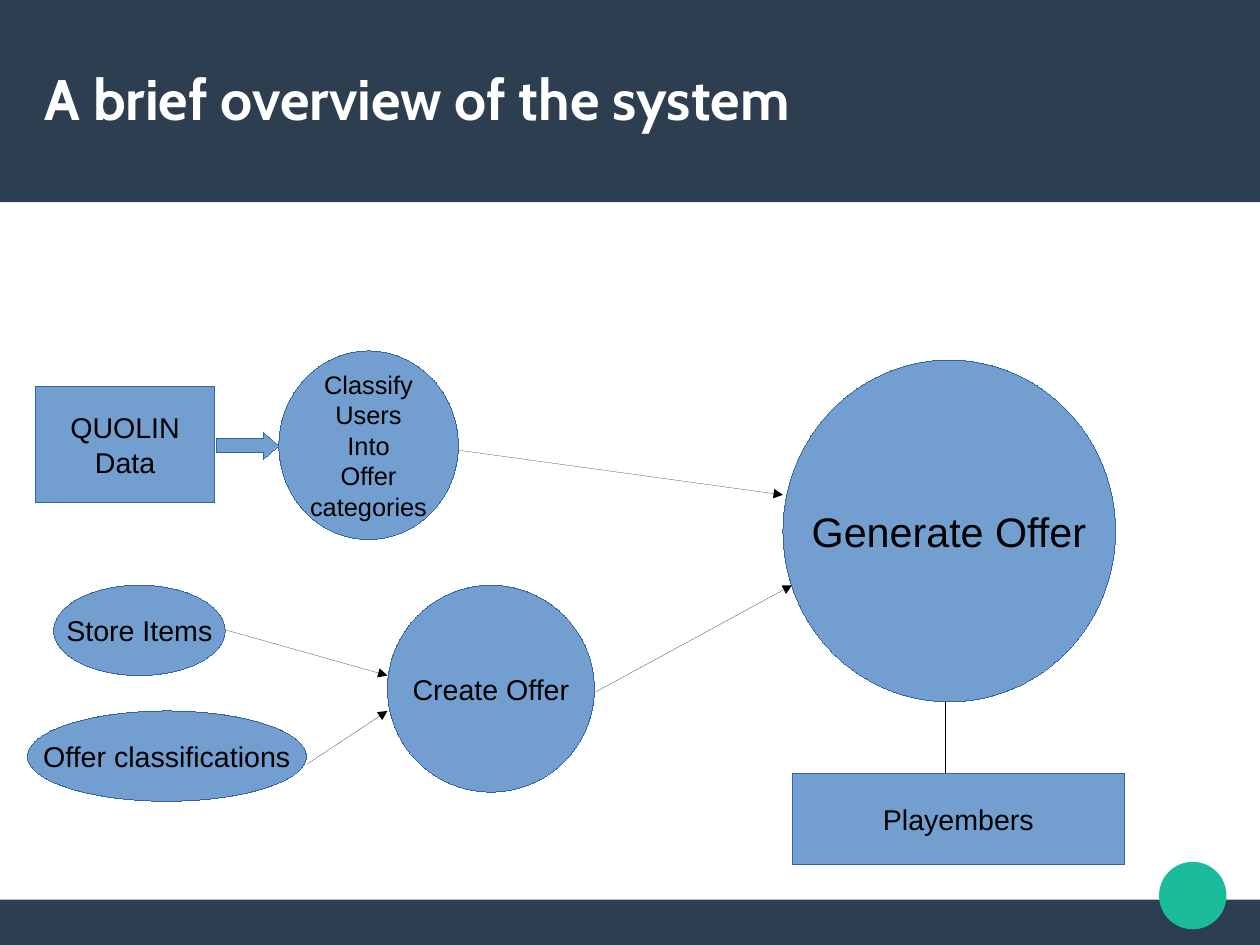
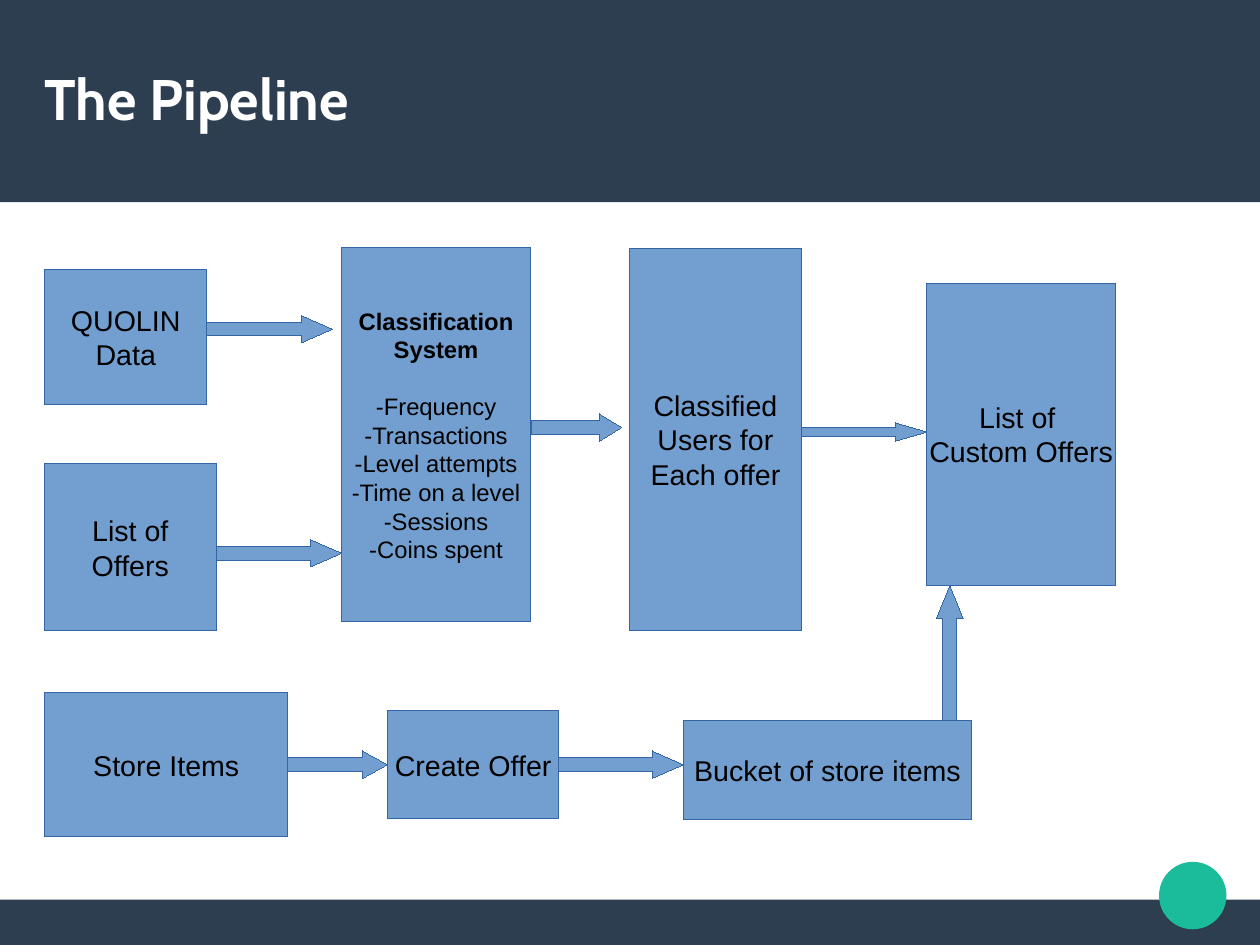
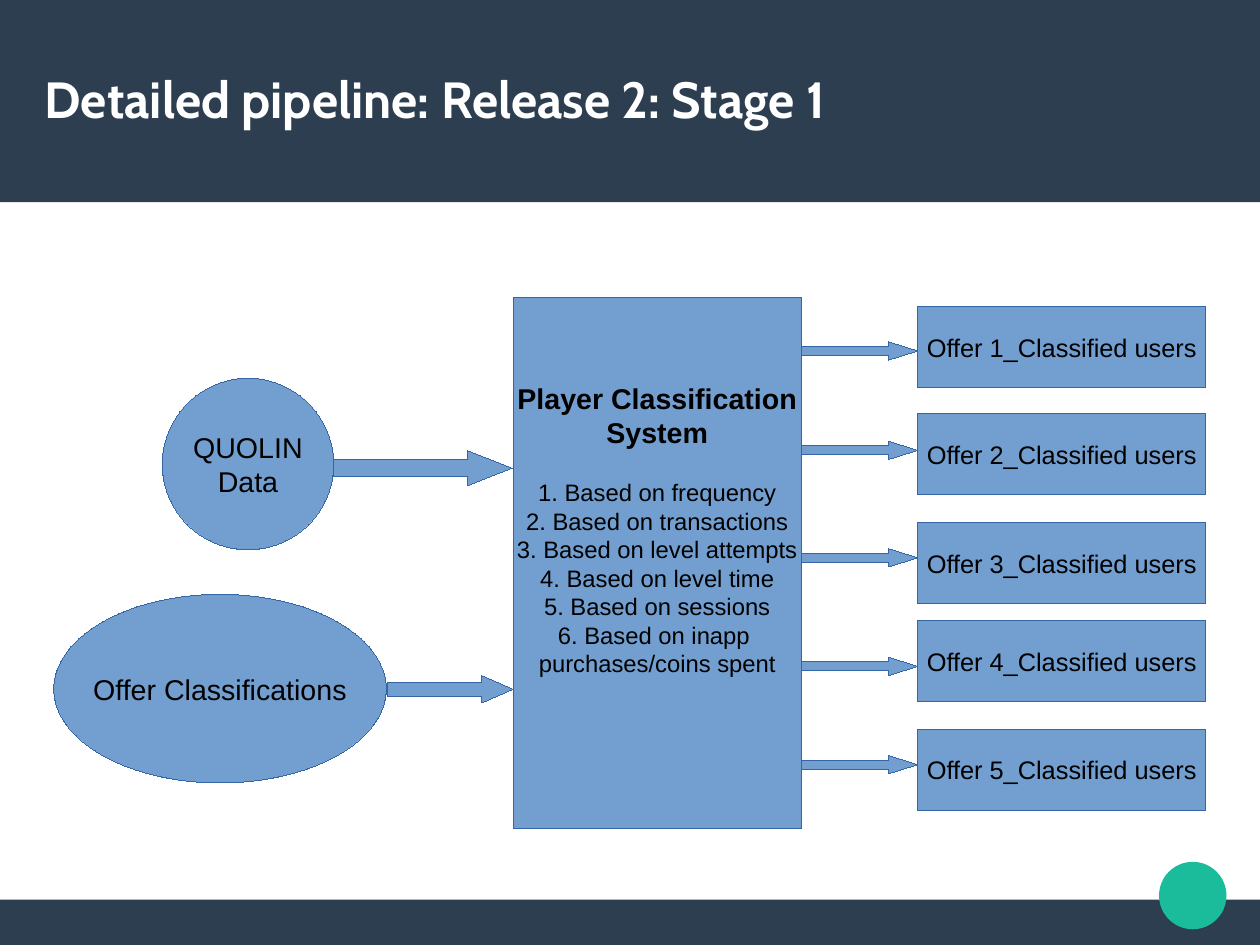
"""Build three slides that chart an offer system and its pipeline."""
from lxml import etree
from pptx import Presentation
from pptx import util as u
from pptx.dml.color import RGBColor
from pptx.enum import shapes, text
from pptx.oxml.ns import qn

WIDE, HIGH = 28 / 2.54, 21 / 2.54
NAVY, TEAL, BLUE, EDGE = "2C3E50", "1ABC9C", "729FCF", "3465A4"
BLACK, WHITE = "000000", "FFFFFF"
KIND = shapes.MSO_SHAPE
RECT, OVAL = KIND.FLOWCHART_PROCESS, KIND.FLOWCHART_CONNECTOR
RIGHT, UP = KIND.RIGHT_ARROW, KIND.UP_ARROW
LEFT, MID = text.PP_ALIGN.LEFT, text.PP_ALIGN.CENTER

BANDS = [
    (KIND.RECTANGLE, (0, 7.87, WIDE, HIGH - 7.87), NAVY),
    (KIND.RECTANGLE, (0, 0, WIDE, 1.77), NAVY),
    (KIND.OVAL, (10.14, 7.54, 0.59, 0.59), TEAL),
]

TRAITS = """-Frequency
-Transactions
-Level attempts
-Time on a level
-Sessions
-Coins spent"""

RULES = """1. Based on frequency
2. Based on transactions
3. Based on level attempts
4. Based on level time
5. Based on sessions
6. Based on inapp 
purchases/coins spent"""

OFFER_TOPS = [2.68, 3.62, 4.57, 5.43, 6.38]
ARROW_TOPS = [2.99, 3.86, 4.8, 5.75, 6.61]

SLIDES = [
    {
        "title": ("A brief overview of the system", 36),
        "lines": [
            ((1.97, 5.51), (3.39, 5.91)),
            ((2.68, 6.69), (3.39, 6.22)),
            ((4.02, 3.94), (6.85, 4.33)),
            ((5.2, 6.06), (6.93, 5.12)),
            ((8.27, 6.14), (8.27, 6.85)),
        ],
        "arrows": [(RIGHT, (1.89, 3.78, 0.55, 0.24))],
        "nodes": [
            (RECT, (0.31, 3.38, 1.57, 1.02), [("QUOLIN\nData", 18)]),
            (OVAL, (2.44, 3.07, 1.57, 1.65),
             [("Classify\nUsers\nInto\nOffer\ncategories", 16)]),
            (OVAL, (0.47, 5.12, 1.5, 0.79), [("Store Items", 18)]),
            (OVAL, (0.24, 6.22, 2.44, 0.79), [("Offer classifications", 18)]),
            (OVAL, (3.39, 5.12, 1.81, 1.81), [("Create Offer", 18)]),
            (OVAL, (6.85, 3.15, 2.91, 2.99), [("Generate Offer", 26)]),
            (RECT, (6.93, 6.77, 2.91, 0.79), [("Playembers", 18)]),
        ],
    },
    {
        "title": ("The Pipeline", 36),
        "lines": [],
        "arrows": [
            (RIGHT, (1.81, 2.76, 1.1, 0.24)),
            (RIGHT, (1.89, 4.72, 1.1, 0.24)),
            (RIGHT, (4.65, 3.62, 0.79, 0.24)),
            (RIGHT, (7.01, 3.7, 1.1, 0.16)),
            (RIGHT, (2.52, 6.57, 0.87, 0.24)),
            (RIGHT, (4.88, 6.57, 1.1, 0.24)),
            (UP, (8.19, 5.12, 0.24, 1.18)),
        ],
        "nodes": [
            (RECT, (0.39, 4.06, 1.5, 1.46), [("List of\nOffers", 18)]),
            (RECT, (0.39, 2.36, 1.42, 1.18), [("QUOLIN\nData", 18)]),
            (RECT, (2.99, 2.17, 1.65, 3.27),
             [("Classification\nSystem", 15), (TRAITS, 15)]),
            (RECT, (5.51, 2.17, 1.5, 3.35),
             [("Classified\nUsers for\nEach offer", 18)]),
            (RECT, (8.11, 2.48, 1.65, 2.64), [("List of \nCustom Offers", 18)]),
            (RECT, (0.39, 6.06, 2.13, 1.26), [("Store Items", 18)]),
            (RECT, (3.39, 6.22, 1.5, 0.94), [("Create Offer", 18)]),
            (RECT, (5.98, 6.3, 2.52, 0.87), [("Bucket of store items", 18)]),
        ],
    },
    {
        "title": ("Detailed pipeline: Release 2: Stage 1", 32),
        "lines": [],
        "arrows": [
            (RIGHT, (2.91, 3.94, 1.57, 0.31)),
            (RIGHT, (3.39, 5.91, 1.1, 0.24)),
        ] + [(RIGHT, (7.01, top, 1.02, 0.16)) for top in ARROW_TOPS],
        "nodes": [
            (OVAL, (1.42, 3.31, 1.5, 1.5), [("QUOLIN\nData", 18)]),
            (OVAL, (0.47, 5.2, 2.91, 1.65), [("Offer Classifications", 18)]),
            (RECT, (4.49, 2.6, 2.52, 4.65),
             [("Player Classification\nSystem", 18), (RULES, 15)], 0.64),
        ] + [(RECT, (8.03, top, 2.52, 0.71), [(f"Offer {n}_Classified users", 16)])
             for n, top in enumerate(OFFER_TOPS, 1)],
    },
]


def tint(code):
    return RGBColor.from_string(code)


def write(frame, words, size=18, bold=False, font="Arial", color=BLACK,
          align=MID, gap=0):
    """Add each line of words as a paragraph, with a gap above the first."""
    for n, line in enumerate(words.split("\n")):
        first = frame.paragraphs[0]
        para = frame.add_paragraph() if first.runs else first
        para.alignment = align
        if gap and n == 0:
            para.space_before = u.Pt(gap)
        run = para.add_run()
        run.text = line
        run.font.size, run.font.bold, run.font.name = u.Pt(size), bold, font
        run.font.color.rgb = tint(color)


def thin(line, color):
    """Make a line a hairline and return its XML element."""
    line.color.rgb = tint(color)
    props = line._get_or_add_ln()
    props.set("w", "0")
    return props


def draw(slide, kind, box, fill=BLUE, edge=EDGE):
    """Add a flat preset shape."""
    shape = slide.shapes.add_shape(kind, *map(u.Inches, box))
    shape.shadow.inherit = False
    shape.fill.solid()
    shape.fill.fore_color.rgb = tint(fill)
    if edge:
        thin(shape.line, edge)
    else:
        shape.line.fill.background()
    return shape


def node(slide, kind, box, parts, foot=0.05):
    """Add a labelled shape; when it has two parts the first is a bold head."""
    frame = draw(slide, kind, box).text_frame
    frame.word_wrap = False
    frame.vertical_anchor = text.MSO_ANCHOR.MIDDLE
    frame.margin_bottom = u.Inches(foot)
    for n, (words, size) in enumerate(parts):
        head = n == 0 and len(parts) > 1
        write(frame, words, size=size, bold=head, gap=18 * n)


def arrow(slide, kind, box):
    """Add a block arrow whose head takes a quarter of its length."""
    short, long = sorted(box[2:])
    shape = draw(slide, kind, box)
    shape.adjustments[0] = 0.5
    shape.adjustments[1] = long / 4 / short


def link(slide, start, end):
    """Add a hairline with an arrowhead at its end."""
    line = slide.shapes.add_connector(
        shapes.MSO_CONNECTOR.STRAIGHT, *map(u.Inches, start + end))
    props = thin(line.line, BLACK)
    etree.SubElement(props, qn("a:tailEnd"), type="triangle")
    etree.SubElement(props.getparent(), qn("a:effectLst"))


def frame_up(slide, title, size):
    """Add the shared bands, dot and title."""
    for kind, box, fill in BANDS:
        draw(slide, kind, box, fill, None)
    frame = slide.shapes.add_textbox(
        *map(u.Inches, (0.39, 0.33, 10.24, 1.05))).text_frame
    frame.word_wrap = True
    frame.vertical_anchor = text.MSO_ANCHOR.MIDDLE
    frame.margin_left = frame.margin_right = 0
    frame.margin_top = frame.margin_bottom = 0
    write(frame, title, size=size, bold=True, font="Cabin", color=WHITE, align=LEFT)


def main():
    """Build and save the deck."""
    deck = Presentation()
    deck.slide_width, deck.slide_height = u.Inches(WIDE), u.Inches(HIGH)
    for page in SLIDES:
        slide = deck.slides.add_slide(deck.slide_layouts[6])
        frame_up(slide, *page["title"])
        for ends in page["lines"]:
            link(slide, *ends)
        for item in page["arrows"]:
            arrow(slide, *item)
        for item in page["nodes"]:
            node(slide, *item)
    deck.save("out.pptx")


if __name__ == "__main__":
    main()
